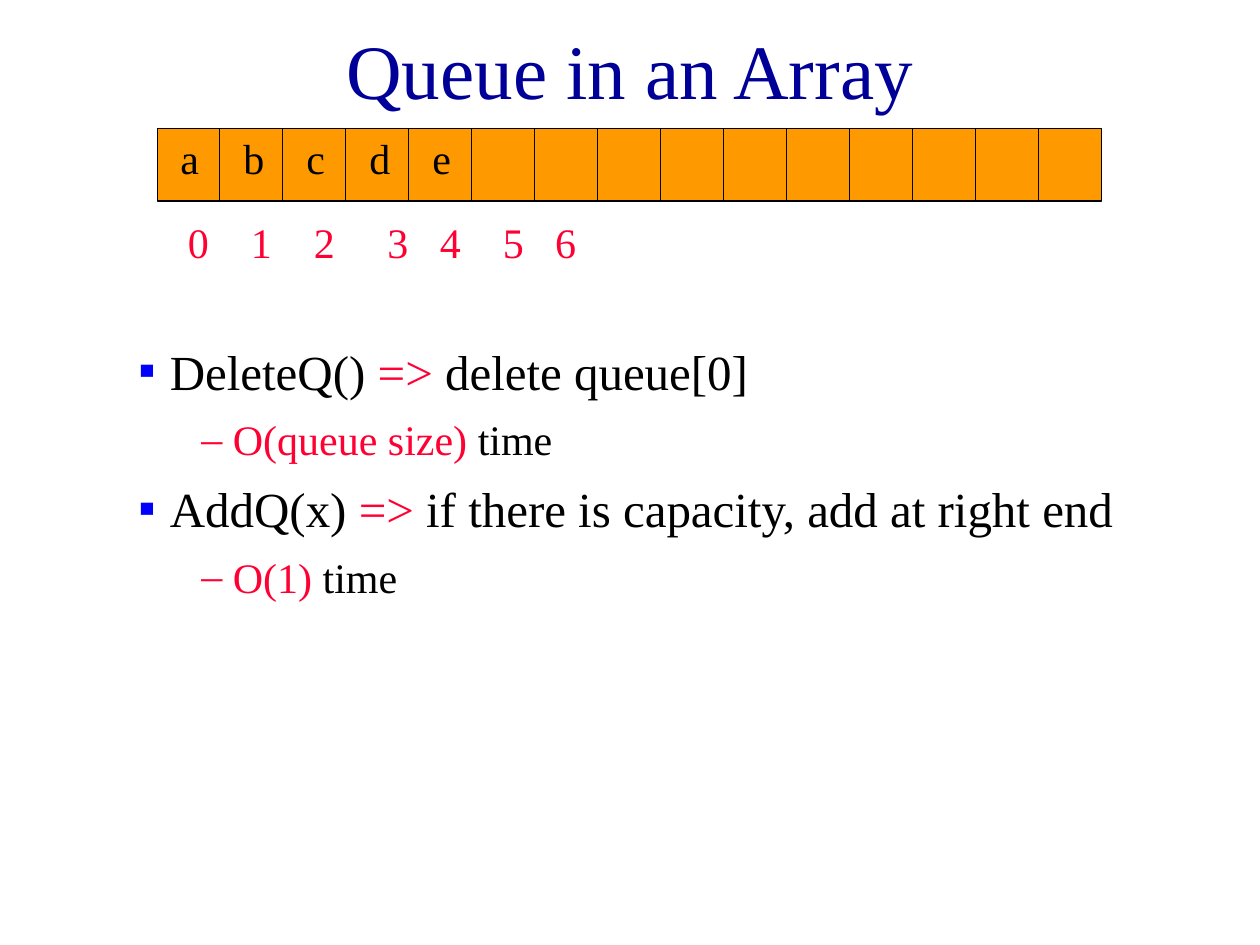
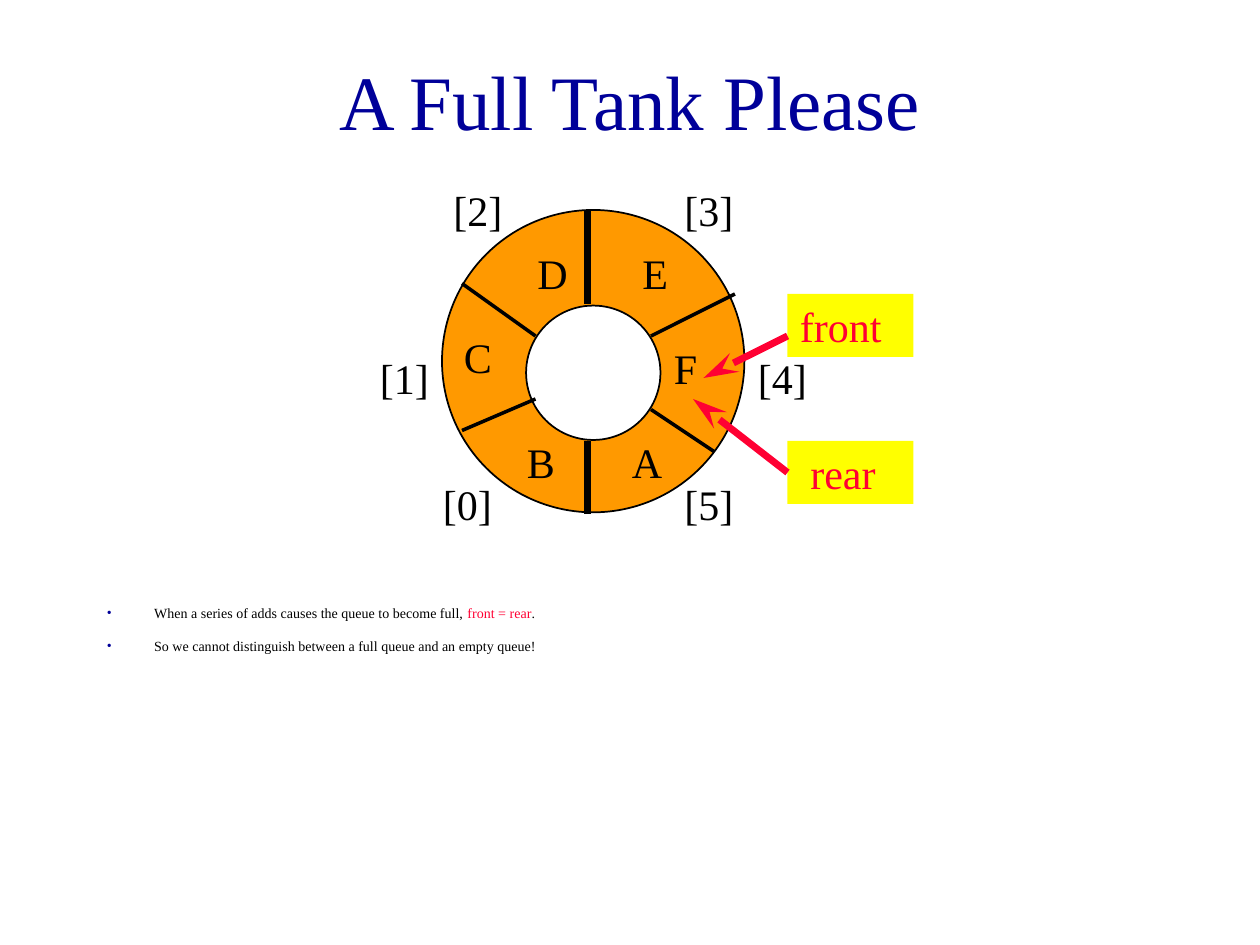
"""Build two slides on queues: one in an array, one in a full ring."""
import pptx
import pptx.util
import pptx.dml.color
import pptx.enum.shapes
import pptx.enum.text
import pptx.oxml
import pptx.oxml.ns

Pt = pptx.util.Pt
RGB = pptx.dml.color.RGBColor
SHAPE = pptx.enum.shapes.MSO_SHAPE
STRAIGHT = pptx.enum.shapes.MSO_CONNECTOR.STRAIGHT
ALIGN = pptx.enum.text.PP_ALIGN
ANCHOR = pptx.enum.text.MSO_ANCHOR

NAVY = RGB(0x00, 0x00, 0x99)
BLUE = RGB(0x00, 0x00, 0xFF)
RED = RGB(0xFF, 0x00, 0x33)
BLACK = RGB(0x00, 0x00, 0x00)
WHITE = RGB(0xFF, 0xFF, 0xFF)
ORANGE = RGB(0xFF, 0x99, 0x00)
YELLOW = RGB(0xFF, 0xFF, 0x00)
FONT = "Times New Roman"

COLS, ROWS = 120, 90
deck = pptx.Presentation()
deck.slide_width = pptx.util.Inches(10)
deck.slide_height = pptx.util.Inches(7.5)
UNIT = deck.slide_width // COLS


def write(slide, box, paras, wrap=True, anchor=ANCHOR.TOP):
    """Add a text box from (runs, size, format, bullet) paragraphs."""
    shape = slide.shapes.add_textbox(*[int(n * UNIT) for n in box])
    frame = shape.text_frame
    frame.word_wrap, frame.vertical_anchor = wrap, anchor
    for i, (runs, size, form, mark) in enumerate(paras):
        para = frame.add_paragraph() if i else frame.paragraphs[0]
        for name, value in form.items():
            setattr(para, name, value)
        for text, tint in runs:
            run = para.add_run()
            run.text = text
            for name, value in {"name": FONT, "size": Pt(size)}.items():
                setattr(run.font, name, value)
            run.font.color.rgb = tint
        if mark:
            sign, tint, left, hang = mark
            props = para._p.get_or_add_pPr()
            props.set("marL", str(int(left * UNIT)))
            props.set("indent", str(int(-hang * UNIT)))
            space = pptx.oxml.ns.nsdecls("a")
            for xml in (f'<a:buClr {space}><a:srgbClr val="{tint}"/></a:buClr>',
                        f'<a:buFont {space} typeface="{FONT}"/>',
                        f'<a:buChar {space} char="{sign}"/>'):
                props.append(pptx.oxml.parse_xml(xml))
    return shape


def draw(slide, ends, tint, width, head=False):
    """Add a straight line, with an arrowhead at its end if asked."""
    line = slide.shapes.add_connector(STRAIGHT, *[int(n * UNIT) for n in ends])
    line.line.color.rgb, line.line.width = tint, Pt(width)
    space = pptx.oxml.ns.nsdecls("a")
    if head:
        line.line._get_or_add_ln().append(pptx.oxml.parse_xml(
            f'<a:tailEnd {space} type="stealth" w="med" len="lg"/>'))
    line._element.spPr.append(pptx.oxml.parse_xml(f"<a:effectLst {space}/>"))


pages = []
for title, tall in (("Queue in an Array", 9), ("A Full Tank Please", 15)):
    page = deck.slides.add_slide(deck.slide_layouts[6])
    write(page, (9, 2, 102, tall),
          [([(title, NAVY)], 44, {"alignment": ALIGN.CENTER}, None)],
          anchor=ANCHOR.MIDDLE)
    pages.append(page)
row, ring = pages

CELL, COUNT, LEFT, TOP, DEEP = 6, 15, 15, 12.25, 6.9
solids = (
    (row, SHAPE.RECTANGLE, (LEFT, TOP, CELL * COUNT - 0.1, DEEP), ORANGE),
    (ring, SHAPE.OVAL, (42.1, 20, 28.8, 28.8), ORANGE),
    (ring, SHAPE.OVAL, (50.1, 29.1, 12.8, 12.8), WHITE),
)
for page, kind, box, tint in solids:
    solid = page.shapes.add_shape(kind, *[int(n * UNIT) for n in box])
    solid.shadow.inherit = False
    solid.fill.solid()
    solid.fill.fore_color.rgb = tint
    solid.line.color.rgb, solid.line.width = BLACK, Pt(1)

for i in range(1, COUNT):
    x = LEFT + i * CELL - 0.1
    draw(row, (x, TOP, x, TOP + DEEP), BLACK, 1)
for i, text in enumerate("abcde"):
    write(row, (16 + i * CELL, 12, 4.4, 6),
          [([(text, BLACK)], 24, {}, None)], wrap=False)
for i, shift in enumerate((0, 0, 0, 1, 0, 0, -1)):
    write(row, (16.7 + i * CELL + shift, 20, 4.4, 6),
          [([(str(i), RED)], 24, {}, None)], wrap=False)

GAP = {"space_before": Pt(8)}
SQUARE, DASH = ("▪", BLUE, 15, 3), ("–", RED, 21, 3)
write(row, (0, 31.9, 114, 58), [
    ([("DeleteQ() ", BLACK), ("=>", RED), (" delete queue[0]", BLACK)],
     28, GAP, SQUARE),
    ([("O(queue size) ", RED), ("time", BLACK)], 24, GAP, DASH),
    ([("AddQ(x) ", BLACK), ("=>", RED),
      (" if there is capacity, add at right end", BLACK)], 28, GAP, SQUARE),
    ([("O(1) ", RED), ("time", BLACK)], 24, GAP, DASH),
])

spokes = (
    (56, 20, 56, 29, 4), (56, 42, 56, 49, 4), (44, 27, 51, 32, 2),
    (51, 38, 44, 41, 2), (62, 32, 70, 28, 2), (62, 39, 68, 43, 2),
)
for *ends, width in spokes:
    draw(ring, ends, BLACK, width)

spots = ((41, 45), (35, 33), (42, 17), (64, 17), (71, 33), (64, 45))
for i, spot in enumerate(spots):
    write(ring, (*spot, 11, 6), [([(f"[{i}]", BLACK)], 24, {}, None)])
seats = ((59, 41), (49, 41), (43, 31), (50, 23), (60, 23), (63, 32))
for text, seat in zip("ABCDEF", seats):
    write(ring, (*seat, 8, 6), [([(text, BLACK)], 24, {}, None)])

flags = (("front", 28, (75, 32, 67, 36)), (" rear", 42, (75, 45, 66, 38)))
for text, top, ends in flags:
    flag = write(ring, (75, top, 12, 6), [([(text, RED)], 24, {}, None)])
    flag.fill.solid()
    flag.fill.fore_color.rgb = YELLOW
    draw(ring, ends, RED, 4, head=True)

DOT = ("•", NAVY, 4.5, 4.5)
WIDE = {"space_before": Pt(9)}
write(ring, (9, 57, 102, 4), [
    ([("When a series of adds causes the queue to become full, ", BLACK),
      ("front = rear", RED), (".", BLACK)], 8, WIDE, DOT),
    ([("So we cannot distinguish between a full queue and an empty queue!",
       BLACK)], 8, WIDE, DOT),
])

deck.save("out.pptx")
